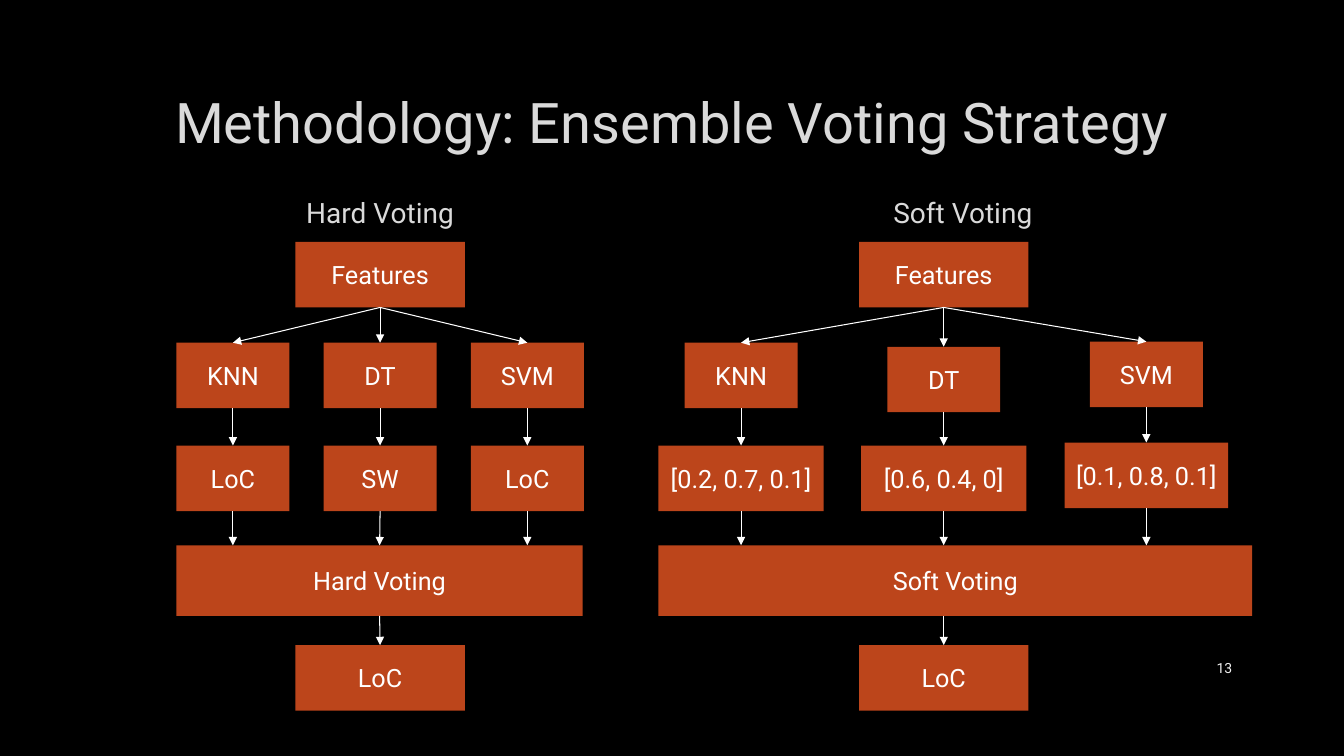
from lxml.etree import SubElement
from pptx import Presentation
from pptx.dml.color import RGBColor
from pptx.enum.shapes import MSO_CONNECTOR, MSO_SHAPE
from pptx.enum.text import MSO_ANCHOR, PP_ALIGN
from pptx.oxml.ns import qn
from pptx.util import Inches, Pt

BLACK = RGBColor(0x00, 0x00, 0x00)
WHITE = RGBColor(0xFF, 0xFF, 0xFF)
PALE = RGBColor(0xF2, 0xF2, 0xF2)
GRAY = RGBColor(0xDA, 0xDA, 0xDA)
RUST = RGBColor(0xBC, 0x45, 0x1B)
FONT = "Roboto"
HIGH = 0.65


def write(shape, text, size, color, align=PP_ALIGN.CENTER, anchor=MSO_ANCHOR.MIDDLE):
    frame = shape.text_frame
    frame.word_wrap = True
    frame.vertical_anchor = anchor
    para = frame.paragraphs[0]
    para.text = text
    para.alignment = align
    para.font.name = FONT
    para.font.size = Pt(size)
    para.font.color.rgb = color
    return para


def label(slide, text, rect, size, color, **style):
    area = slide.shapes.add_textbox(*map(Inches, rect))
    return write(area, text, size, color, **style)


def box(shapes, text, left, top, width, height=HIGH):
    rect = map(Inches, (left, top, width, height))
    shape = shapes.add_shape(MSO_SHAPE.RECTANGLE, *rect)
    shape.shadow.inherit = False
    shape.fill.solid()
    shape.fill.fore_color.rgb = RUST
    shape.line.fill.background()
    shape.text_frame.margin_left = shape.text_frame.margin_right = Inches(0.05)
    write(shape, text, 18, WHITE)
    return shape


def center(shape):
    return shape.left + shape.width // 2


def arrow(shapes, start, end, drop=None):
    x1 = center(start) if drop is None else drop
    x2 = center(end) if drop is None else drop
    line = shapes.add_connector(
        MSO_CONNECTOR.STRAIGHT, x1, start.top + start.height, x2, end.top
    )
    near = Inches(0.02)
    if abs(x1 - center(start)) < near:
        line.begin_connect(start, 2)
    if abs(x2 - center(end)) < near:
        line.end_connect(end, 0)
    line.line.color.rgb = WHITE
    line.line.width = Pt(0.75)
    stroke = line.line._get_or_add_ln()
    SubElement(stroke, qn("a:tailEnd"), type="triangle")
    SubElement(line._element.spPr, qn("a:effectLst"))


def voting(slide, name, left, width, root, models, votes):
    shapes = slide.shapes.add_group_shape().shapes
    top = box(shapes, "Features", root, 2.4, 1.68)
    heads = [box(shapes, *model) for model in models]
    outs = [box(shapes, *vote) for vote in votes]
    bar = box(shapes, name, left, 5.41, width, 0.7)
    result = box(shapes, "LoC", root, 6.4, 1.68)
    for head, out in zip(heads, outs):
        arrow(shapes, top, head)
        arrow(shapes, head, out)
        arrow(shapes, out, bar, center(out))
    arrow(shapes, bar, result, center(result))


def main():
    deck = Presentation()
    deck.slide_width, deck.slide_height = Inches(13.33), Inches(7.5)
    slide = deck.slides.add_slide(deck.slide_layouts[6])
    slide.background.fill.solid()
    slide.background.fill.fore_color.rgb = BLACK

    label(slide, "Methodology: Ensemble Voting Strategy", (1, 0.67, 11.32, 1.06), 40, GRAY)
    for text, left in (("Hard Voting", 1), ("Soft Voting", 6.78)):
        para = label(slide, text, (left, 1.89, 5.54, 4.44), 20, GRAY, anchor=MSO_ANCHOR.TOP)
        para.space_before = Pt(3)

    voting(
        slide, "Soft Voting", 6.53, 5.89, 8.52,
        [("KNN", 6.79, 3.4, 1.12), ("DT", 8.8, 3.44, 1.12), ("SVM", 10.81, 3.39, 1.12)],
        [
            ("[0.2, 0.7, 0.1]", 6.53, 4.42, 1.64),
            ("[0.6, 0.4, 0]", 8.54, 4.42, 1.64),
            ("[0.1, 0.8, 0.1]", 10.56, 4.39, 1.62),
        ],
    )
    columns = (1.75, 3.21, 4.67)
    voting(
        slide, "Hard Voting", 1.75, 4.03, 2.93,
        [(text, left, 3.4, 1.12) for text, left in zip(("KNN", "DT", "SVM"), columns)],
        [(text, left, 4.42, 1.12) for text, left in zip(("LoC", "SW", "LoC"), columns)],
    )
    label(slide, "13", (11.5, 6.43, 0.82, 0.4), 10, PALE, align=PP_ALIGN.RIGHT)
    deck.save("out.pptx")


if __name__ == "__main__":
    main()
